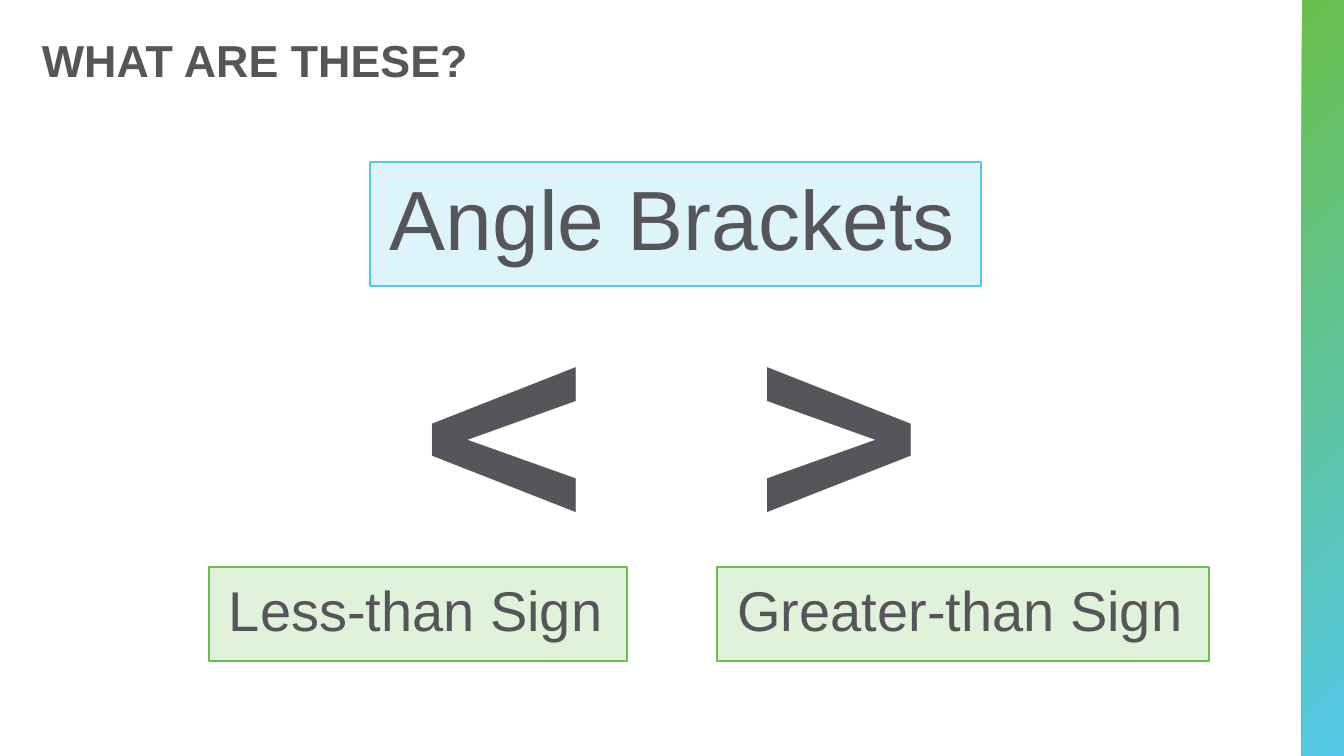
from pptx import Presentation
from pptx.dml.color import RGBColor
from pptx.enum.shapes import MSO_SHAPE
from pptx.enum.text import MSO_ANCHOR, MSO_AUTO_SIZE, PP_ALIGN
from pptx.util import Inches, Pt

RECT = MSO_SHAPE.RECTANGLE
TOP, MIDDLE = MSO_ANCHOR.TOP, MSO_ANCHOR.MIDDLE
LEFT, CENTER = PP_ALIGN.LEFT, PP_ALIGN.CENTER
GROW = MSO_AUTO_SIZE.SHAPE_TO_FIT_TEXT

WIDTH, HEIGHT = Inches(13.333), Inches(7.5)
COLS, ROWS = 32, 30
COLORS = {
    "text": "56565A",
    "green": "6ABF4B",
    "blue": "54C8E8",
    "mint": "E1F2DB",
    "sky": "DDF4FA",
}


def color(name):
    return RGBColor.from_string(COLORS[name])


def place(col, row, cols, rows):
    """Turn grid columns and rows into left, top, width and height."""
    wide, high = WIDTH / COLS, HEIGHT / ROWS
    return int(col * wide), int(row * high), int(cols * wide), int(rows * high)


def write(shape, text, size, font="Arial", bold=False, align=LEFT,
          anchor=TOP, pad=(0, 0), wrap=True, line=None, after=0):
    frame = shape.text_frame
    frame.word_wrap = wrap
    frame.vertical_anchor = anchor
    frame.margin_left = frame.margin_right = Inches(pad[0])
    frame.margin_top = frame.margin_bottom = Inches(pad[1])
    para = frame.paragraphs[0]
    para.alignment = align
    para.line_spacing = line
    para.space_after = Pt(after)
    run = para.add_run()
    run.text = text
    run.font.name = font
    run.font.size = Pt(size)
    run.font.bold = bold
    run.font.color.rgb = color("text")


def add_text(slide, text, grid, **style):
    write(slide.shapes.add_textbox(*place(*grid)), text, **style)


def add_rect(slide, grid):
    rect = slide.shapes.add_shape(RECT, *place(*grid))
    rect.shadow.inherit = False
    return rect


def add_strip(slide, grid):
    strip = add_rect(slide, grid)
    strip.line.fill.background()
    strip.fill.gradient()
    strip.fill.gradient_angle = 315
    ends = ((0.01, "green"), (0.99, "blue"))
    for stop, (share, name) in zip(strip.fill.gradient_stops, ends):
        stop.position = share
        stop.color.rgb = color(name)


def add_label(slide, text, grid, size, fill, edge):
    label = add_rect(slide, grid)
    label.fill.solid()
    label.fill.fore_color.rgb = color(fill)
    label.line.color.rgb = color(edge)
    label.line.width = Pt(1.5)
    write(label, text, size, pad=(0.2, 0.16), wrap=False, line=0.9, after=6)
    label.text_frame.auto_size = GROW


def main():
    deck = Presentation()
    deck.slide_width, deck.slide_height = WIDTH, HEIGHT
    slide = deck.slides.add_slide(deck.slide_layouts[6])

    add_strip(slide, (31, 0, 1, ROWS))
    add_text(slide, "WHAT ARE THESE?", (1, 1, 30, 3), size=32, bold=True,
             anchor=MIDDLE, line=0.9)
    add_text(slide, "< >", (1, 5, 30, 23), size=199, font="DejaVu Sans Mono",
             bold=True, align=CENTER, anchor=MIDDLE, after=12)

    signs = (("Less-than Sign", 4.97, 9.96), ("Greater-than Sign", 17.08, 11.7))
    for text, col, cols in signs:
        add_label(slide, text, (col, 22.5, cols, 3.73), 40, "mint", "green")
    add_label(slide, "Angle Brackets", (8.8, 6.43, 14.55, 4.93), 60,
              "sky", "blue")

    deck.save("out.pptx")


if __name__ == "__main__":
    main()
